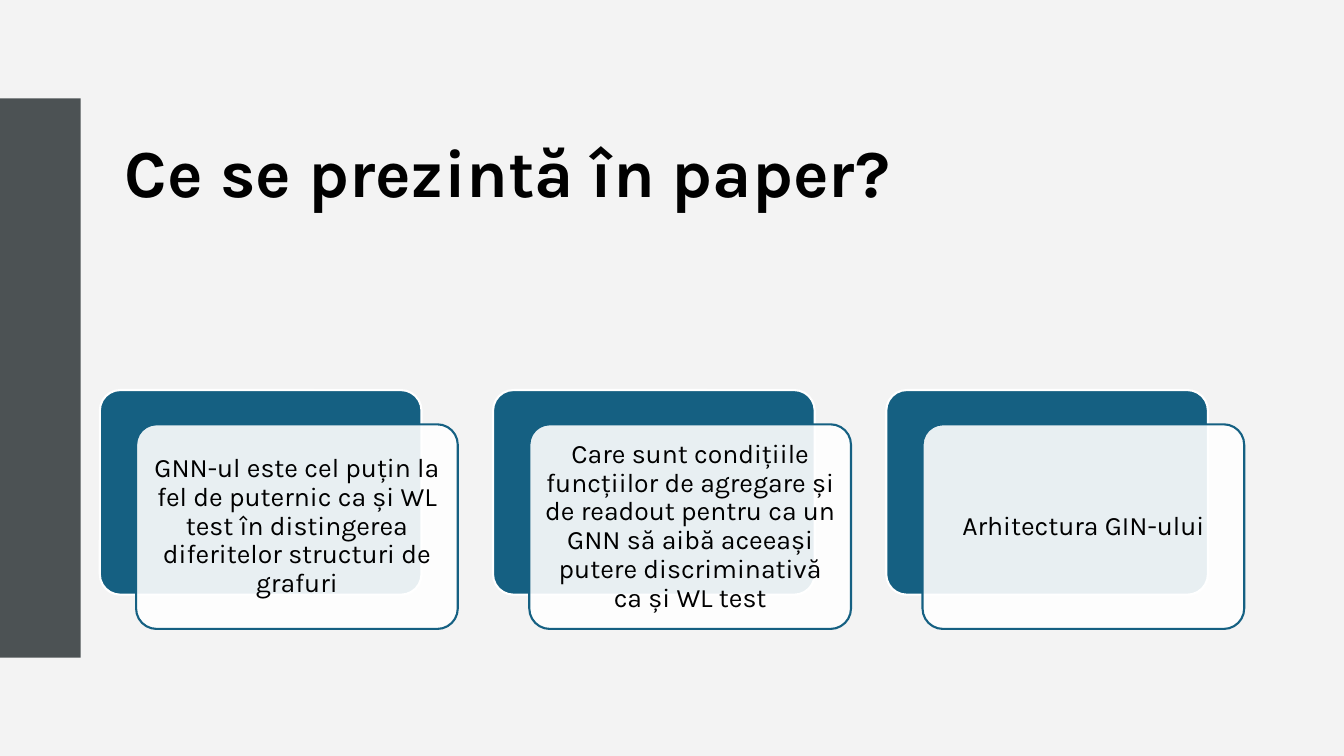
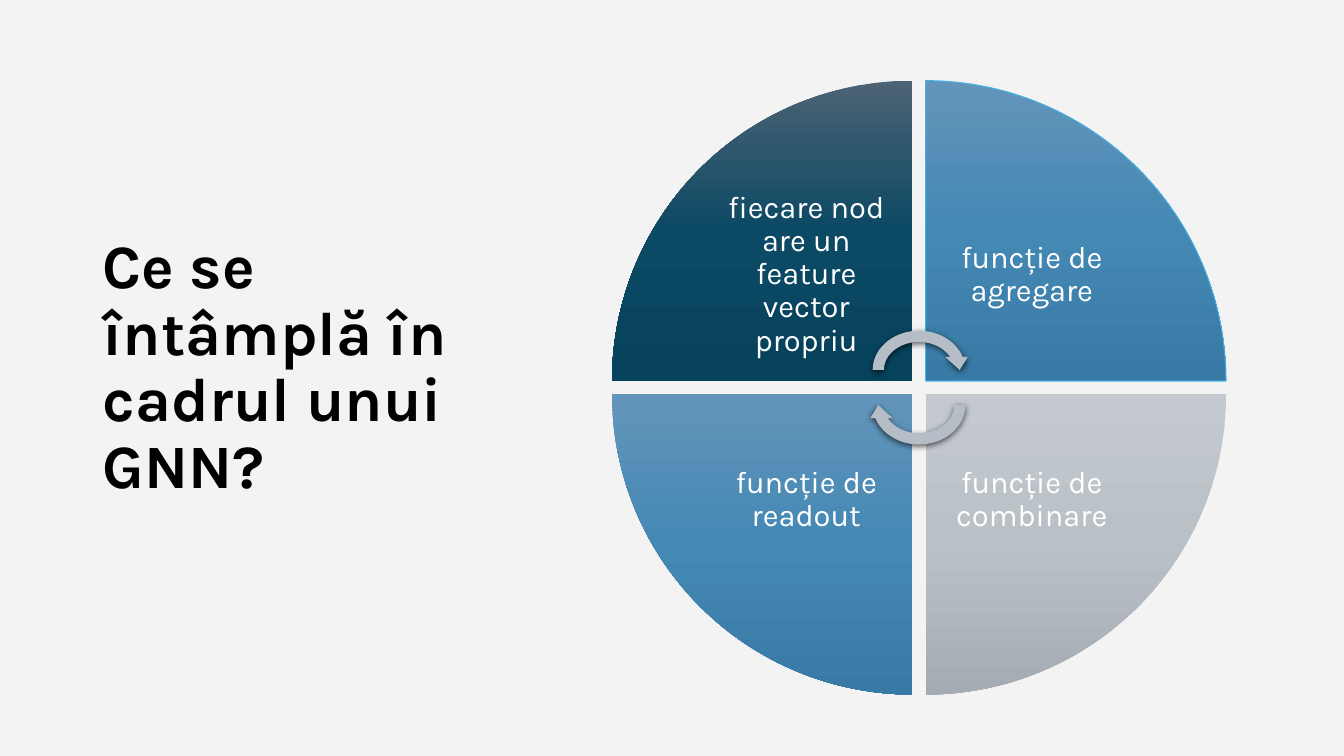
import math
from lxml import etree
from pptx import Presentation, util as u
from pptx.dml.color import RGBColor
from pptx.enum import shapes, text
from pptx.oxml import ns

W, H = 13.33, 7.5
FONT = "Karla"
PAPER = RGBColor(0xF3, 0xF3, 0xF3)
BAND = RGBColor(0x4C, 0x52, 0x54)
TEAL = RGBColor(0x15, 0x60, 0x82)
SKY = RGBColor(0x46, 0xB1, 0xE1)
SILVER = RGBColor(0xB5, 0xBE, 0xC7)
WHITE = RGBColor(0xFF, 0xFF, 0xFF)
BLACK = RGBColor(0, 0, 0)

# Gradient stops at 0, 50 and 100 percent
NAVY_FADE = [RGBColor(0x4C, 0x63, 0x75), RGBColor(0x0C, 0x49, 0x64), RGBColor(0x07, 0x42, 0x5D)]
BLUE_FADE = [RGBColor(0x63, 0x95, 0xBA), RGBColor(0x44, 0x88, 0xB4), RGBColor(0x38, 0x7A, 0xA5)]
GREY_FADE = [RGBColor(0xC3, 0xC9, 0xCE), RGBColor(0xB9, 0xC1, 0xC7), RGBColor(0xA4, 0xAB, 0xB2)]

TITLE = dict(bold=True, color=BLACK, align=text.PP_ALIGN.LEFT, after=6)
CARD_TEXT = dict(size=19, color=BLACK, inset=0.08)
WEDGE_TEXT = dict(size=22, color=WHITE, inset=0.17)


def inches(*values):
    return [u.Inches(v) for v in values]


def sub(parent, tag, **attrs):
    return etree.SubElement(parent, ns.qn(tag), {k: str(v) for k, v in attrs.items()})


def write(sp, words, size, color, bold=False, align=text.PP_ALIGN.CENTER, inset=None, after=0):
    tf = sp.text_frame
    frame = dict(word_wrap=True, vertical_anchor=text.MSO_ANCHOR.MIDDLE)
    if inset is not None:
        sides = ("left", "top", "right", "bottom")
        frame.update({f"margin_{side}": u.Inches(inset) for side in sides})
    p = tf.paragraphs[0]
    r = p.add_run()
    r.text = words
    r.font.color.rgb = color
    formats = (
        (tf, frame),
        (p, dict(alignment=align, line_spacing=0.9, space_after=u.Pt(after))),
        (r.font, dict(name=FONT, size=u.Pt(size), bold=bold)),
    )
    for target, values in formats:
        for name, value in values.items():
            setattr(target, name, value)


def add_text(s, box, words, **style):
    write(s.shapes.add_textbox(*inches(*box)), words, **style)


def add_shape(s, kind, box, fill=None, line=None, width=1.5, rotation=0):
    sp = s.shapes.add_shape(kind, *inches(*box))
    sp.shadow.inherit = False
    sp.rotation = rotation
    if fill is not None:
        sp.fill.solid()
        sp.fill.fore_color.rgb = fill
    if line is None:
        sp.line.fill.background()
    else:
        sp.line.color.rgb = line
        sp.line.width = u.Pt(width)
    return sp


def set_fade(sp, stops):
    """Top-to-bottom gradient that stays upright when the shape turns."""
    sp.fill.gradient()
    grad = sp._element.spPr.find(ns.qn("a:gradFill"))
    for child in list(grad):
        grad.remove(child)
    grad.set("rotWithShape", "0")
    gs_list = sub(grad, "a:gsLst")
    for i, color in enumerate(stops):
        sub(sub(gs_list, "a:gs", pos=i * 50000), "a:srgbClr", val=color)
    sub(grad, "a:lin", ang=5400000, scaled=0)


def set_alpha(sp, percent):
    color = sp._element.spPr.find(ns.qn("a:solidFill"))[0]
    sub(color, "a:alpha", val=percent * 1000)


def drop_shadow(sp):
    effects = sp._element.spPr.find(ns.qn("a:effectLst"))
    shadow = sub(effects, "a:outerShdw", blurRad=u.Pt(4.5), dist=u.Pt(1.5),
                 dir=5400000, algn="ctr", rotWithShape=0)
    sub(sub(shadow, "a:srgbClr", val=BLACK), "a:alpha", val=63000)


def new_slide(prs):
    s = prs.slides.add_slide(prs.slide_layouts[6])
    s.background.fill.solid()
    s.background.fill.fore_color.rgb = PAPER
    return s


def card_row(s, box, items):
    """Equal columns, each a panel with a translucent card shifted over it."""
    x, y, w, h = box
    shift_x, shift_y, gap = 0.36, 0.34, 0.35
    col = (w + gap) / len(items)
    card_w, card_h = col - gap - shift_x, h - shift_y
    for i, words in enumerate(items):
        left = x + i * col
        back = add_shape(s, shapes.MSO_SHAPE.ROUNDED_RECTANGLE,
                         (left, y, card_w, card_h), TEAL, WHITE)
        front = add_shape(s, shapes.MSO_SHAPE.ROUNDED_RECTANGLE,
                          (left + shift_x, y + shift_y, card_w, card_h), WHITE, TEAL)
        for sp in (back, front):
            sp.adjustments[0] = 0.1
        set_alpha(front, 90)
        write(front, words, **CARD_TEXT)


def cycle(s, box, quarters):
    """Four wedges clockwise from top left, with two turning arrows."""
    x, y, side = box
    gap = 0.13
    radius = (side - gap) / 2
    label = radius / math.sqrt(2)
    cells = ((0, 0), (1, 0), (1, 1), (0, 1))
    for i, ((col, row), (words, fade, line)) in enumerate(zip(cells, quarters)):
        left, top = (start + n * (radius + gap) for start, n in ((x, col), (y, row)))
        wedge = add_shape(s, shapes.MSO_SHAPE.PIE_WEDGE, (left, top, radius, radius),
                          line=line, width=0.75, rotation=90 * i)
        set_fade(wedge, fade)
        # Label sits in the corner nearest the centre
        corner = (left + (1 - col) * (radius - label), top + (1 - row) * (radius - label))
        add_text(s, (*corner, label, label), words, **WEDGE_TEXT)

    # Arrows above and below the centre
    arrow_w, arrow_h, offset = 1.03, 0.89, 0.175
    mid_x, mid_y = x + side / 2, y + side / 2
    for direction, rotation in ((-1, 0), (1, 180)):
        arrow_box = (mid_x - arrow_w / 2, mid_y + direction * offset - arrow_h / 2,
                     arrow_w, arrow_h)
        drop_shadow(add_shape(s, shapes.MSO_SHAPE.CIRCULAR_ARROW, arrow_box,
                              SILVER, rotation=rotation))


def topics_slide(prs):
    s = new_slide(prs)
    # Side band
    add_shape(s, shapes.MSO_SHAPE.RECTANGLE, (0, 0.13 * H, 0.06 * W, 0.74 * H), BAND)
    add_text(s, (1.14, 0.89, 11.13, 1.7), "Ce se prezintă în paper?", size=48, **TITLE)
    card_row(s, (0.99, 3.87, 11.35, 2.37), (
        "GNN-ul este cel puțin la fel de puternic ca și WL test în distingerea "
        "diferitelor structuri de grafuri",
        "Care sunt condițiile funcțiilor de agregare și de readout pentru ca un GNN "
        "să aibă aceeași putere discriminativă ca și WL test",
        "Arhitectura GIN-ului",
    ))


def cycle_slide(prs):
    s = new_slide(prs)
    add_text(s, (0.92, 0.61, 4.04, 6.09), "Ce se întâmplă în cadrul unui GNN?",
             size=44, **TITLE)
    cycle(s, (6.07, 0.8, 6.09), (
        ("fiecare nod are un feature vector propriu", NAVY_FADE, None),
        ("funcție de agregare", BLUE_FADE, SKY),
        ("funcție de combinare", GREY_FADE, None),
        ("funcție de readout", BLUE_FADE, None),
    ))


def main():
    prs = Presentation()
    prs.slide_width, prs.slide_height = inches(W, H)
    topics_slide(prs)
    cycle_slide(prs)
    prs.save("out.pptx")


if __name__ == "__main__":
    main()
